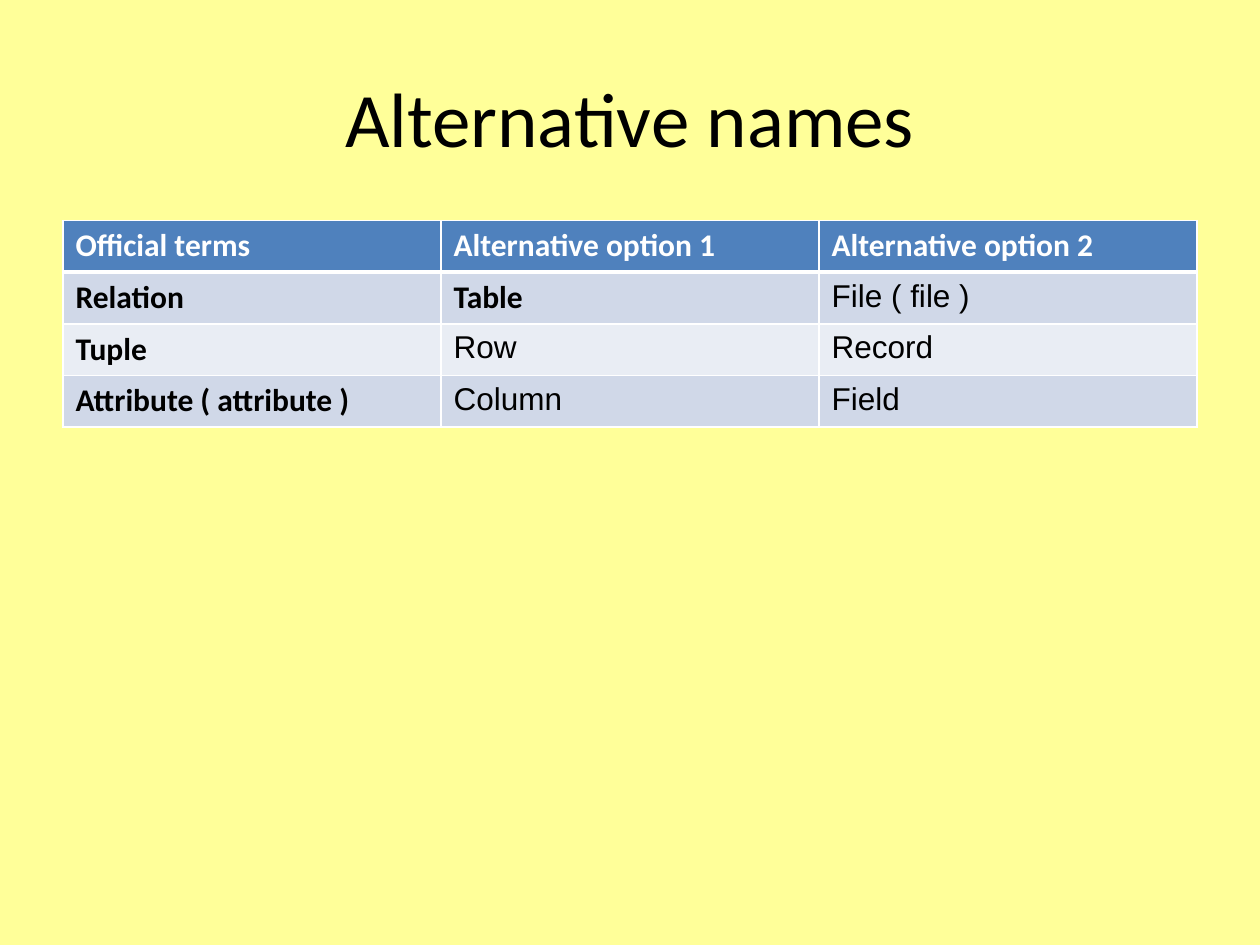
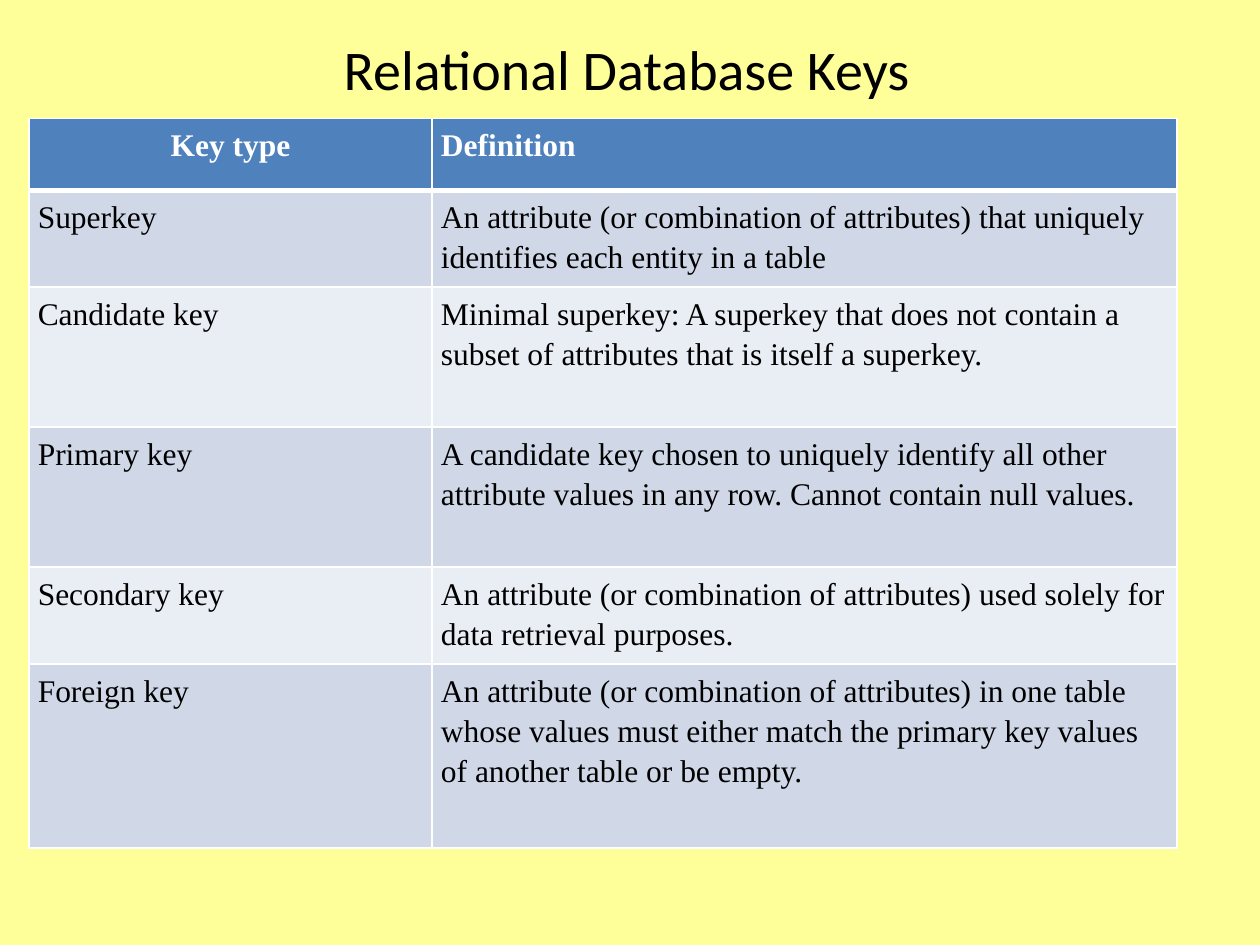
from dataclasses import dataclass

from lxml.etree import SubElement
from pptx import Presentation
from pptx.dml.color import RGBColor
from pptx.enum.text import MSO_ANCHOR, PP_ALIGN
from pptx.oxml.ns import qn
from pptx.slide import Slide
from pptx.table import _Cell
from pptx.text.text import TextFrame
from pptx.util import Inches, Pt

BACKGROUND = "FFFF99"
HEADER_FILL = "4F81BD"
BAND_FILLS = ("E9EDF4", "D0D8E8")
WHITE = "FFFFFF"
BLACK = "000000"
TITLE_FONT = "Calibri"
THIN_BORDER = 1
THICK_BORDER = 3


@dataclass(frozen=True)
class TitleBox:
    text: str
    width: float
    height: float
    size: int
    left: float = 0.5
    top: float = 0.3


@dataclass(frozen=True)
class TableDesign:
    left: float
    top: float
    column_widths: tuple[float, ...]
    row_heights: tuple[float, ...]
    rows: tuple[tuple[str, ...], ...]
    strong_font: str
    body_font: str
    strong_terms: frozenset[str] = frozenset()
    centered_terms: frozenset[str] = frozenset()
    side_margin: float = 0.1
    end_margin: float = 0.05
    line_spacing: float = 1.0


NAMES_TITLE = TitleBox("Alternative names", width=9, height=1.25, size=44)
NAMES_TABLE = TableDesign(
    left=0.5,
    top=1.75,
    column_widths=(3,) * 3,
    row_heights=(0.41,) * 4,
    rows=(
        ("Official terms", "Alternative option 1", "Alternative option 2"),
        ("Relation", "Table", "File ( file )"),
        ("Tuple", "Row", "Record"),
        ("Attribute ( attribute )", "Column", "Field"),
    ),
    strong_font="Calibri",
    body_font="Arial",
    strong_terms=frozenset({"Relation", "Table", "Tuple", "Attribute ( attribute )"}),
)

KEYS_TITLE = TitleBox("Relational Database Keys", width=8.95, height=0.48, size=32)
KEYS_TABLE = TableDesign(
    left=0.23,
    top=0.94,
    column_widths=(3.2, 5.91),
    row_heights=(0.57, 0.77, 1.11, 1.11, 0.77, 1.46),
    rows=(
        ("Key type", "Definition"),
        ("Superkey", "An attribute (or combination of attributes) that uniquely "
                     "identifies each entity in a table"),
        ("Candidate key", "Minimal superkey: A superkey that does not contain a "
                          "subset of attributes that is itself a superkey."),
        ("Primary key", "A candidate key chosen to uniquely identify all other "
                        "attribute values in any row. Cannot contain null values."),
        ("Secondary key", "An attribute (or combination of attributes) used solely "
                          "for data retrieval purposes."),
        ("Foreign key", "An attribute (or combination of attributes) in one table "
                        "whose values must either match the primary key values of "
                        "another table or be empty."),
    ),
    strong_font="Times New Roman",
    body_font="Times New Roman",
    centered_terms=frozenset({"Key type"}),
    side_margin=0.07,
    end_margin=0.04,
    line_spacing=1.15,
)


def color(hex_value: str) -> RGBColor:
    return RGBColor.from_string(hex_value)


def write_text(
    frame: TextFrame,
    text: str,
    *,
    font: str,
    size: int = 18,
    fill: str = BLACK,
    bold: bool = False,
    align: PP_ALIGN = PP_ALIGN.LEFT,
    line_spacing: float = 1.0,
) -> None:
    paragraph = frame.paragraphs[0]
    paragraph.alignment = align
    paragraph.line_spacing = line_spacing
    run = paragraph.add_run()
    run.text = text
    run.font.name = font
    run.font.size = Pt(size)
    run.font.bold = bold
    run.font.color.rgb = color(fill)


def add_title(slide: Slide, title: TitleBox) -> None:
    box = slide.shapes.add_textbox(
        Inches(title.left), Inches(title.top), Inches(title.width), Inches(title.height)
    )
    frame = box.text_frame
    frame.word_wrap = True
    frame.vertical_anchor = MSO_ANCHOR.MIDDLE
    write_text(frame, title.text, font=TITLE_FONT, size=title.size, align=PP_ALIGN.CENTER)


def set_borders(cell: _Cell, row_index: int) -> None:
    """Draw white borders, thick between the header and the first body row."""
    properties = cell._tc.get_or_add_tcPr()
    widths = {
        "a:lnL": THIN_BORDER,
        "a:lnR": THIN_BORDER,
        "a:lnT": THICK_BORDER if row_index == 1 else THIN_BORDER,
        "a:lnB": THICK_BORDER if row_index == 0 else THIN_BORDER,
    }
    for tag, width in widths.items():
        line = SubElement(properties, qn(tag), w=str(Pt(width)))
        solid_fill = SubElement(line, qn("a:solidFill"))
        SubElement(solid_fill, qn("a:srgbClr"), val=WHITE)


def format_cell(cell: _Cell, text: str, row_index: int, design: TableDesign) -> None:
    is_header = row_index == 0
    is_strong = is_header or text in design.strong_terms
    set_borders(cell, row_index)
    cell.fill.solid()
    cell.fill.fore_color.rgb = color(HEADER_FILL if is_header else BAND_FILLS[row_index % 2])
    cell.margin_left = cell.margin_right = Inches(design.side_margin)
    cell.margin_top = cell.margin_bottom = Inches(design.end_margin)
    write_text(
        cell.text_frame,
        text,
        font=design.strong_font if is_strong else design.body_font,
        fill=WHITE if is_header else BLACK,
        bold=is_strong,
        align=PP_ALIGN.CENTER if text in design.centered_terms else PP_ALIGN.LEFT,
        line_spacing=design.line_spacing,
    )


def add_banded_table(slide: Slide, design: TableDesign) -> None:
    table = slide.shapes.add_table(
        len(design.row_heights),
        len(design.column_widths),
        Inches(design.left),
        Inches(design.top),
        Inches(sum(design.column_widths)),
        Inches(sum(design.row_heights)),
    ).table
    for column, width in zip(table.columns, design.column_widths):
        column.width = Inches(width)
    for row, height in zip(table.rows, design.row_heights):
        row.height = Inches(height)
    for row_index, texts in enumerate(design.rows):
        for column_index, text in enumerate(texts):
            format_cell(table.cell(row_index, column_index), text, row_index, design)


def main() -> None:
    presentation = Presentation()
    presentation.slide_width = Inches(10)
    presentation.slide_height = Inches(7.5)
    background = presentation.slide_master.background.fill
    background.solid()
    background.fore_color.rgb = color(BACKGROUND)
    blank_layout = presentation.slide_layouts[6]
    for title, design in ((NAMES_TITLE, NAMES_TABLE), (KEYS_TITLE, KEYS_TABLE)):
        slide = presentation.slides.add_slide(blank_layout)
        add_title(slide, title)
        add_banded_table(slide, design)
    presentation.save("out.pptx")


if __name__ == "__main__":
    main()
